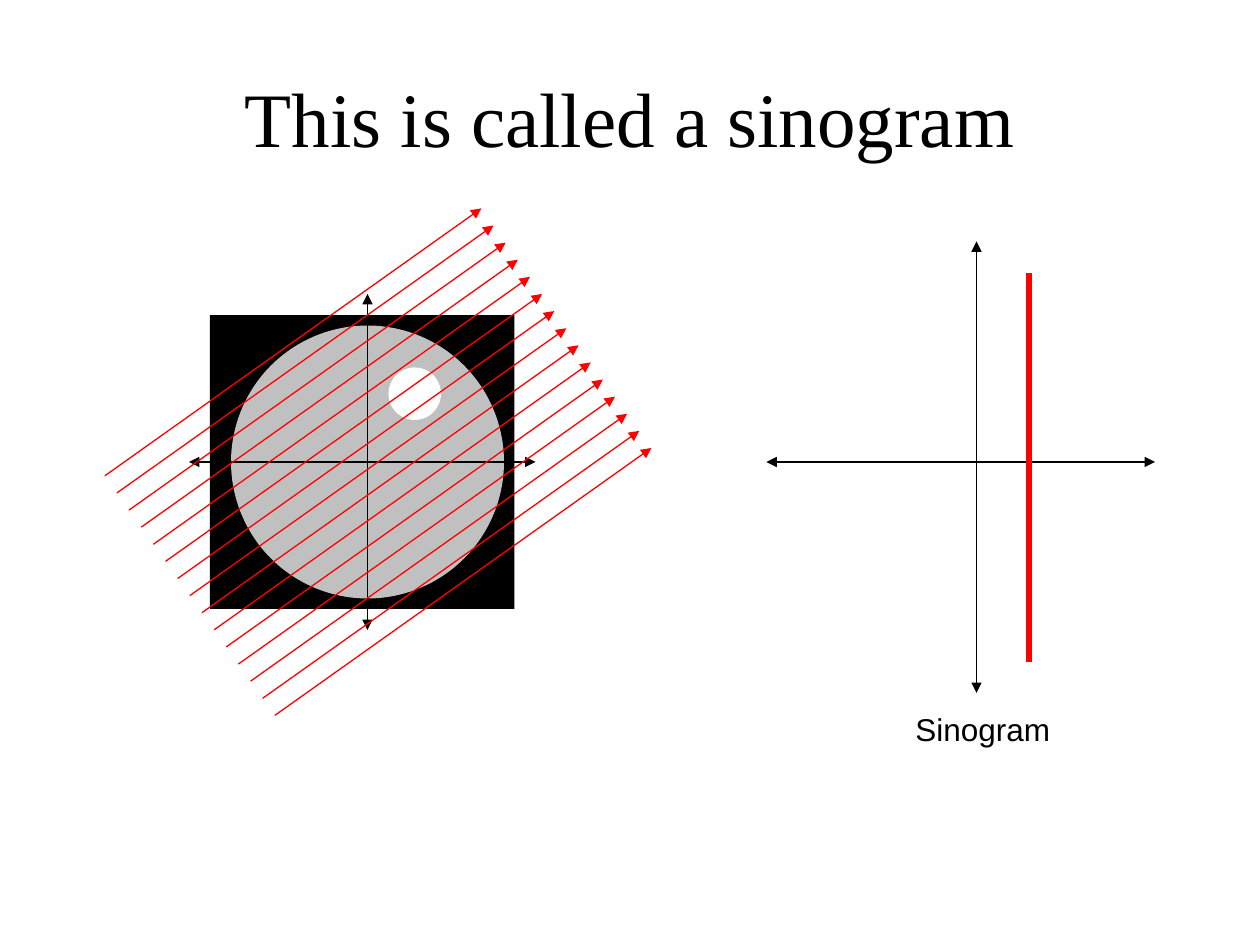
from lxml import etree
from pptx import Presentation
from pptx.dml.color import RGBColor
from pptx.enum import shapes, text
from pptx.oxml.ns import qn
from pptx.util import Pt

COLORS = {"black": "000000", "gray": "C0C0C0", "white": "FFFFFF", "red": "FF0000"}


def write(tf, content, font, size, align, anchor):
    tf.word_wrap = True
    tf.vertical_anchor = anchor
    p = tf.paragraphs[0]
    p.alignment = align
    r = p.add_run()
    r.text = content
    r.font.name = font
    r.font.size = Pt(size)
    r.font.color.rgb = RGBColor.from_string(COLORS["black"])


def add_line(parent, x1, y1, x2, y2, color="black", width=0.75, ends=()):
    c = parent.add_connector(shapes.MSO_CONNECTOR.STRAIGHT, Pt(x1), Pt(y1), Pt(x2), Pt(y2))
    c.line.color.rgb = RGBColor.from_string(COLORS[color])
    c.line.width = Pt(width)
    ln = c.line._get_or_add_ln()
    for end in ends:
        etree.SubElement(ln, qn(f"a:{end}"), type="triangle")
    etree.SubElement(c._element.spPr, qn("a:effectLst"))


prs = Presentation()
prs.slide_width, prs.slide_height = Pt(720), Pt(540)
s = prs.slides.add_slide(prs.slide_layouts[5])
BOTH = ("headEnd", "tailEnd")

# Title
title = s.shapes.title
title.left, title.top, title.width, title.height = Pt(36), Pt(21.6), Pt(648), Pt(90)
write(title.text_frame, "This is called a sinogram", "Times New Roman", 44,
      text.PP_ALIGN.CENTER, text.MSO_ANCHOR.MIDDLE)

# Scanned object: black field, gray disc, white spot
phantom = s.shapes.add_group_shape()
for kind, color, x, y, w, h in (
    (shapes.MSO_SHAPE.RECTANGLE, "black", 120, 180, 174, 168),
    (shapes.MSO_SHAPE.OVAL, "gray", 132, 186, 156, 156),
    (shapes.MSO_SHAPE.OVAL, "white", 222, 210, 30, 30),
):
    sp = phantom.shapes.add_shape(kind, Pt(x), Pt(y), Pt(w), Pt(h))
    sp.shadow.inherit = False
    sp.fill.solid()
    sp.fill.fore_color.rgb = RGBColor.from_string(COLORS[color])
    sp.line.fill.background()

# Object axes
axes = s.shapes.add_group_shape()
add_line(axes.shapes, 210, 168, 210, 360, ends=BOTH)
add_line(axes.shapes, 108, 264, 306, 264, ends=BOTH)

# Parallel rays
rays = s.shapes.add_group_shape()
for i in range(15):
    x, y = 59.9 + 6.94 * i, 271.9 + 9.78 * i
    add_line(rays.shapes, x, y, x + 215.2, y - 152.8, color="red", ends=("tailEnd",))

# Sinogram label, axes and projection line
label = s.shapes.add_textbox(Pt(516), Pt(402), Pt(190), Pt(36))
write(label.text_frame, "Sinogram", "Arial", 18, text.PP_ALIGN.LEFT, text.MSO_ANCHOR.TOP)
add_line(s.shapes, 438, 264, 660, 264, ends=BOTH)
add_line(s.shapes, 558, 138, 558, 396, ends=BOTH)
add_line(s.shapes, 588, 156, 588, 378, color="red", width=3)

prs.save("out.pptx")
